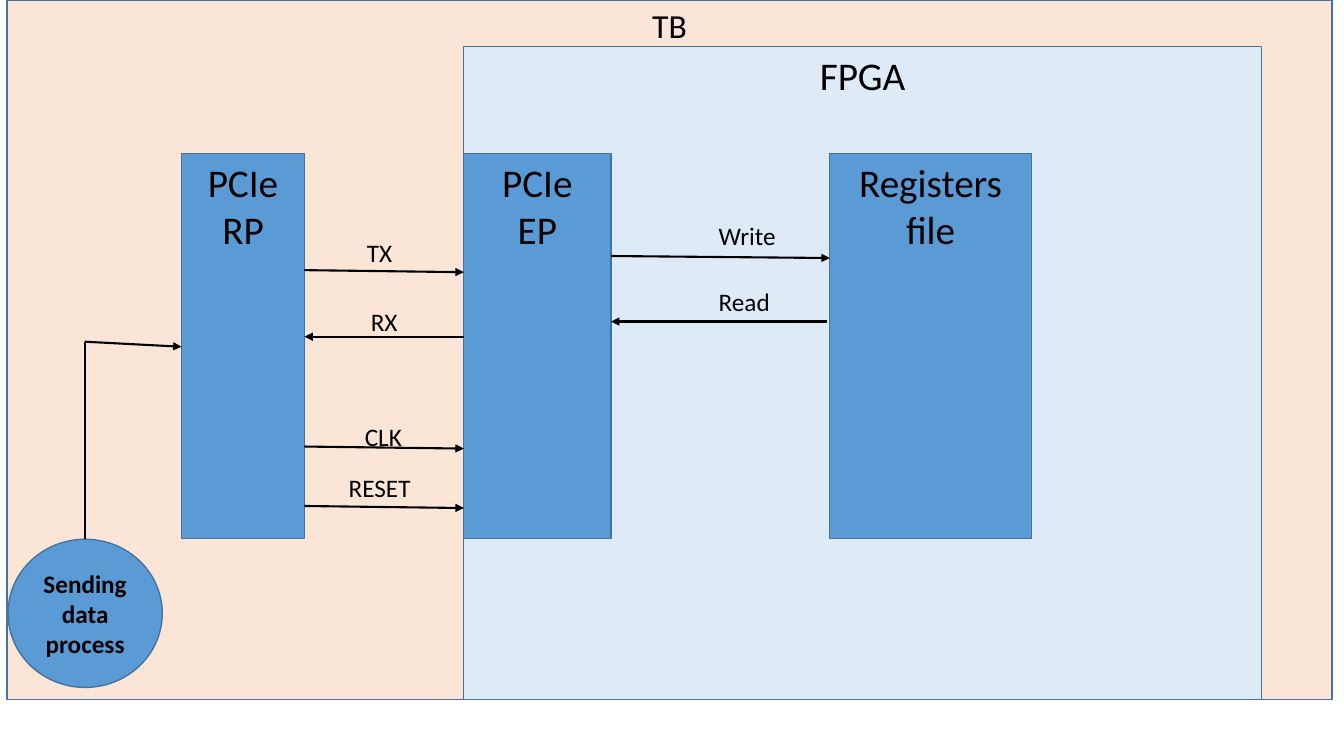
import pptx
import pptx.util
import pptx.dml.color
import pptx.enum.shapes
import pptx.enum.text
import pptx.oxml.ns
import lxml.etree

PX = 9144
WIDE, HIGH = 1333, 750
FONT = "Calibri"
INK, EDGE = "000000", "43739E"
PEACH, PALE, BLUE = "FBE5D6", "DEEBF7", "5B9BD5"

TOP, TALL = 152, 382
RP_LEFT, RP_RIGHT = 180, 302
EP_LEFT, EP_RIGHT = 460, 606
REG_LEFT, REG_RIGHT = 823, 1023
BEND_X, BEND_Y = 84, 339

frames = [
    (7, 0, 1314, 694, PEACH, ["TB"], 24),
    (460, 46, 791, 648, PALE, ["FPGA"], 28),
]
blocks = [
    (RP_LEFT, RP_RIGHT, ["PCIe", "RP"]),
    (EP_LEFT, EP_RIGHT, ["PCIe", "EP"]),
    (REG_LEFT, REG_RIGHT, ["Registers file"]),
]
sender = (8, 535, 153, 147, BLUE, ["Sending data process"], 18)
wires = [
    (RP_RIGHT, 268, EP_LEFT, 270, True),
    (EP_LEFT, 334, RP_RIGHT, 334, True),
    (RP_RIGHT, 443, EP_LEFT, 445, True),
    (RP_RIGHT, 502, EP_LEFT, 504, True),
    (BEND_X, 535, BEND_X, BEND_Y, False),
    (BEND_X, BEND_Y, RP_LEFT, 344, True),
    (EP_RIGHT, 254, REG_LEFT, 256, True),
    (820, 319, EP_RIGHT, 319, True),
]
labels = [
    (354, 231, 46, "TX", False),
    (358, 299, 47, "RX", False),
    (352, 413, 70, "CLK", True),
    (336, 464, 85, "RESET", True),
    (703, 214, 77, "Write", False),
    (703, 279, 71, "Read", False),
]

KIND = pptx.enum.shapes.MSO_SHAPE
ANCHOR = pptx.enum.text.MSO_ANCHOR
ALIGN = pptx.enum.text.PP_ALIGN


def color(code):
    return pptx.dml.color.RGBColor.from_string(code)


def scale(*sizes):
    return [pptx.util.Emu(size * PX) for size in sizes]


def write(frame, lines, size, align, bold=False):
    for i, line in enumerate(lines):
        para = frame.paragraphs[0] if i == 0 else frame.add_paragraph()
        para.alignment = align
        run = para.add_run()
        run.text = line
        run.font.name = FONT
        run.font.size = pptx.util.Pt(size)
        run.font.bold = bold
        run.font.color.rgb = color(INK)


def add_box(slide, left, top, width, height, fill, lines, size,
            kind=KIND.RECTANGLE, anchor=ANCHOR.TOP, bold=False):
    box = slide.shapes.add_shape(kind, *scale(left, top, width, height))
    box.shadow.inherit = False
    box.fill.solid()
    box.fill.fore_color.rgb = color(fill)
    box.line.color.rgb = color(EDGE)
    box.line.width = pptx.util.Pt(1)
    frame = box.text_frame
    frame.word_wrap = True
    frame.vertical_anchor = anchor
    write(frame, lines, size, ALIGN.CENTER, bold)


def add_wire(slide, x1, y1, x2, y2, arrow):
    wire = slide.shapes.add_connector(
        pptx.enum.shapes.MSO_CONNECTOR.STRAIGHT, *scale(x1, y1, x2, y2))
    wire.line.color.rgb = color(INK)
    wire.line.width = pptx.util.Pt(1.5)
    qn = pptx.oxml.ns.qn
    if arrow:
        lxml.etree.SubElement(wire.line._get_or_add_ln(), qn("a:tailEnd"),
                              type="triangle")
    lxml.etree.SubElement(wire._element.spPr, qn("a:effectLst"))


def add_label(slide, left, top, width, text, wrap):
    label = slide.shapes.add_textbox(*scale(left, top, width, 40))
    frame = label.text_frame
    frame.word_wrap = wrap
    frame.auto_size = pptx.enum.text.MSO_AUTO_SIZE.SHAPE_TO_FIT_TEXT
    write(frame, [text], 18, ALIGN.LEFT)


def main():
    deck = pptx.Presentation()
    deck.slide_width, deck.slide_height = scale(WIDE, HIGH)
    slide = deck.slides.add_slide(deck.slide_layouts[6])
    for frame in frames:
        add_box(slide, *frame)
    for left, right, lines in blocks:
        add_box(slide, left, TOP, right - left, TALL, BLUE, lines, 28)
    add_box(slide, *sender, kind=KIND.OVAL, anchor=ANCHOR.MIDDLE, bold=True)
    for wire in wires:
        add_wire(slide, *wire)
    for label in labels:
        add_label(slide, *label)
    deck.save("out.pptx")


if __name__ == "__main__":
    main()
